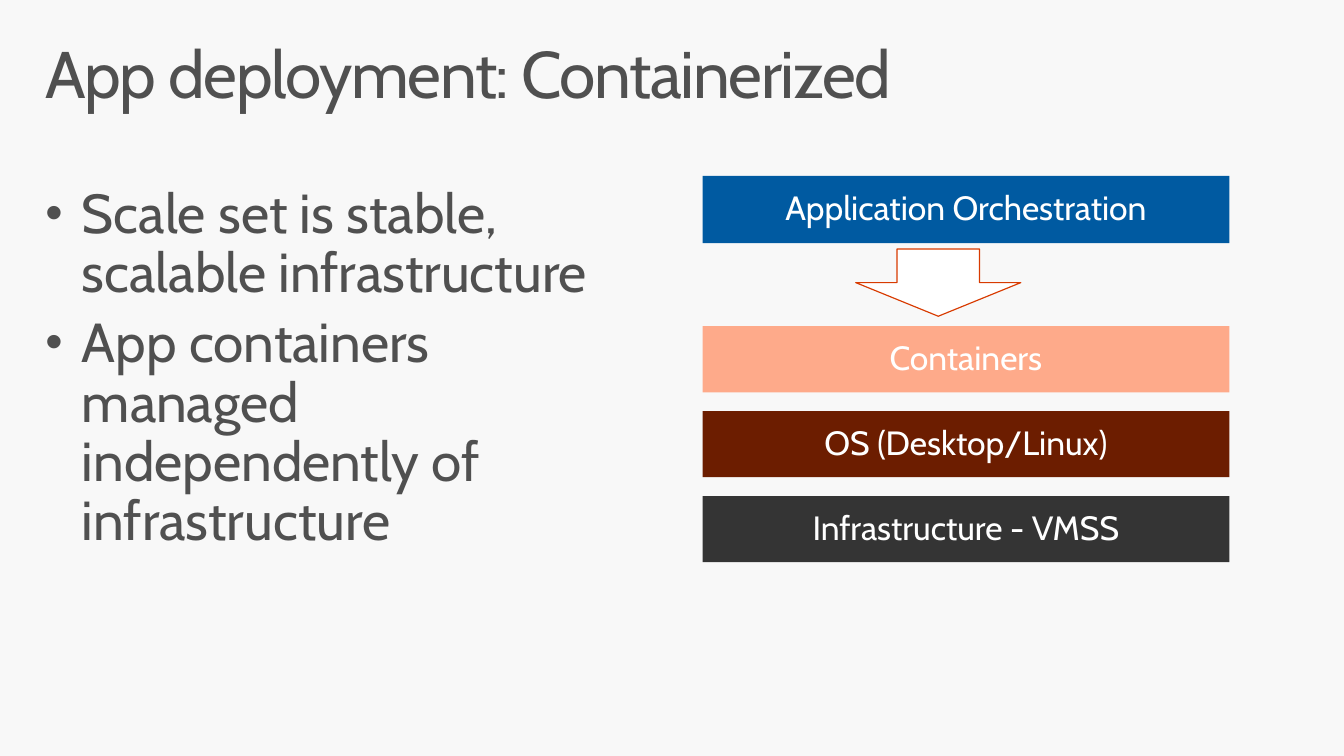
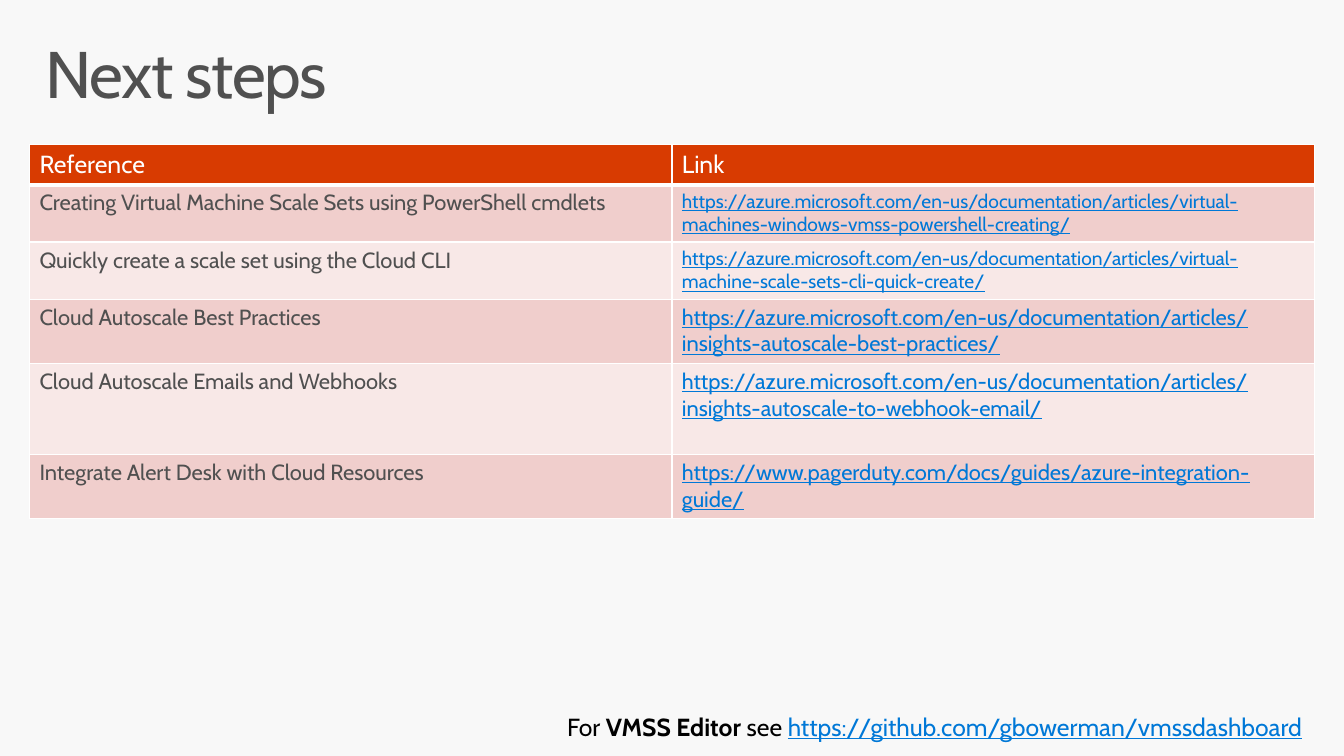
"""Build two slides on container deployment and follow-up references."""
from lxml.etree import SubElement
from pptx import Presentation
from pptx.dml.color import RGBColor
from pptx.enum.shapes import MSO_SHAPE as Shape
from pptx.enum.text import MSO_ANCHOR as Anchor, PP_ALIGN as Align
from pptx.oxml.ns import qn
from pptx.util import Inches, Pt

FONT = "Cabin"
BACKGROUND = RGBColor(0xF8, 0xF8, 0xF8)
GRAY = RGBColor(0x50, 0x50, 0x50)
WHITE = RGBColor(0xFF, 0xFF, 0xFF)
BLACK = RGBColor(0x00, 0x00, 0x00)
LINK = RGBColor(0x00, 0x78, 0xD7)
ORANGE = RGBColor(0xD8, 0x3B, 0x01)
BLUE = RGBColor(0x00, 0x5A, 0xA1)
SALMON = RGBColor(0xFE, 0xAA, 0x8A)
BROWN = RGBColor(0x6C, 0x1D, 0x00)
CHARCOAL = RGBColor(0x34, 0x34, 0x34)
DARK_BAND = RGBColor(0xF0, 0xCE, 0xCC)
LIGHT_BAND = RGBColor(0xF8, 0xE8, 0xE7)

LAYERS = [
    ("Containers", SALMON),
    ("OS (Desktop/Linux)", BROWN),
    ("Infrastructure - VMSS", CHARCOAL),
]
ARTICLES = "https://azure.microsoft.com/en-us/documentation/articles/"
REFERENCES = [
    ("Creating Virtual Machine Scale Sets using PowerShell cmdlets",
     ARTICLES + "virtual-machines-windows-vmss-powershell-creating/", 14, 0.58),
    ("Quickly create a scale set using the Cloud CLI",
     ARTICLES + "virtual-machine-scale-sets-cli-quick-create/", 14, 0.58),
    ("Cloud Autoscale Best Practices",
     ARTICLES + "insights-autoscale-best-practices/", 16, 0.65),
    ("Cloud Autoscale Emails and Webhooks",
     ARTICLES + "insights-autoscale-to-webhook-email/", 16, 0.92),
    ("Integrate Alert Desk with Cloud Resources",
     "https://www.pagerduty.com/docs/guides/azure-integration-guide/", 16, 0.65),
]


class Deck:
    """Hold the shared style and the current slide."""

    def __init__(self):
        self.presentation = Presentation()
        self.presentation.slide_width = Inches(13.6)
        self.presentation.slide_height = Inches(7.65)
        self.slide = None

    def add_slide(self, title):
        """Start a slide with its background and title."""
        self.slide = self.presentation.slides.add_slide(self.presentation.slide_layouts[6])
        fill = self.slide.background.fill
        fill.solid()
        fill.fore_color.rgb = BACKGROUND
        frame = self.text_frame(0.3, 0.32, 13, 1, 0.16, 0.1)
        paragraph = frame.paragraphs[0]
        paragraph.line_spacing = 0.9
        run = self.add_run(paragraph, title, 48, GRAY)
        run.font._element.set("spc", "-100")

    def text_frame(self, left, top, width, height, side=0.1, edge=0.05):
        """Add a wrapping text box and return its frame."""
        box = self.slide.shapes.add_textbox(
            Inches(left), Inches(top), Inches(width), Inches(height))
        frame = box.text_frame
        frame.word_wrap = True
        self.set_margins(frame, side, edge)
        return frame

    def set_margins(self, frame, side, edge):
        """Set the side and the top and bottom margins."""
        frame.margin_left = frame.margin_right = Inches(side)
        frame.margin_top = frame.margin_bottom = Inches(edge)

    def add_run(self, paragraph, text, size, color, bold=False, underline=False):
        """Append a formatted run."""
        run = paragraph.add_run()
        run.text = text
        font = run.font
        font.name = FONT
        font.size = Pt(size)
        font.color.rgb = color
        font.bold = bold
        font.underline = underline
        return run

    def bullets(self, items, left, top, width, height):
        """Add a bulleted list."""
        frame = self.text_frame(left, top, width, height, 0.16, 0.1)
        for index, item in enumerate(items):
            paragraph = frame.add_paragraph() if index else frame.paragraphs[0]
            properties = paragraph._p.get_or_add_pPr()
            properties.set("marL", str(Inches(0.37)))
            properties.set("indent", str(-Inches(0.37)))
            SubElement(properties, qn("a:buSzPct"), val="90000")
            SubElement(properties, qn("a:buFont"), typeface="Arial")
            SubElement(properties, qn("a:buChar"), char="•")
            paragraph.line_spacing = 0.9
            if index:
                paragraph.space_before = Pt(8)
            self.add_run(paragraph, item, 40, GRAY)

    def shape(self, kind, left, top, width, height, fill, line=None):
        """Add a flat preset shape."""
        shape = self.slide.shapes.add_shape(
            kind, Inches(left), Inches(top), Inches(width), Inches(height))
        shape.shadow.inherit = False
        shape.fill.solid()
        shape.fill.fore_color.rgb = fill
        if line is None:
            shape.line.fill.background()
        else:
            shape.line.color.rgb = line
            shape.line.width = Pt(0.85)
        return shape

    def layer(self, text, top, height, fill):
        """Add a labelled bar of the stack."""
        frame = self.shape(Shape.RECTANGLE, 7.11, top, 5.33, height, fill).text_frame
        frame.word_wrap = True
        frame.vertical_anchor = Anchor.MIDDLE
        self.set_margins(frame, 0.2, 0.16)
        paragraph = frame.paragraphs[0]
        paragraph.alignment = Align.CENTER
        paragraph.line_spacing = 0.9
        self.add_run(paragraph, text, 24.5, WHITE)

    def cell(self, cell, text, size, color, fill, underline=False, bottom=1):
        """Fill a table cell and rule its borders in white."""
        self.add_run(cell.text_frame.paragraphs[0], text, size, color, underline=underline)
        properties = cell._tc.get_or_add_tcPr()
        for side, points in (("L", 1), ("R", 1), ("T", 1), ("B", bottom)):
            line = SubElement(properties, qn("a:ln" + side), w=str(Pt(points)))
            solid = SubElement(line, qn("a:solidFill"))
            SubElement(solid, qn("a:srgbClr"), val=str(WHITE))
        cell.fill.solid()
        cell.fill.fore_color.rgb = fill

    def reference_table(self, references, left, top, width):
        """Add the table of references and links."""
        heights = [0.41] + [height for *_, height in references]
        table = self.slide.shapes.add_table(
            len(heights), 2, Inches(left), Inches(top),
            Inches(width), Inches(sum(heights))).table
        for column in table.columns:
            column.width = Inches(width / 2)
        for row, height in zip(table.rows, heights):
            row.height = Inches(height)
        for index, heading in enumerate(("Reference", "Link")):
            self.cell(table.cell(0, index), heading, 18, WHITE, ORANGE, bottom=3)
        for index, (name, link, size, _) in enumerate(references, 1):
            band = DARK_BAND if index % 2 else LIGHT_BAND
            self.cell(table.cell(index, 0), name, 16, GRAY, band)
            self.cell(table.cell(index, 1), link, size, LINK, band, underline=True)


def main():
    """Build and save both slides."""
    deck = Deck()
    deck.add_slide("App deployment: Containerized")
    deck.bullets(["Scale set is stable, scalable infrastructure",
                  "App containers managed independently of infrastructure"],
                 0.3, 1.78, 5.94, 4.72)
    deck.layer("Application Orchestration", 1.78, 0.68, BLUE)
    deck.shape(Shape.DOWN_ARROW, 8.66, 2.52, 1.67, 0.68, WHITE, ORANGE)
    for index, (text, fill) in enumerate(LAYERS):
        deck.layer(text, 3.3 + index * 0.86, 0.67, fill)

    deck.add_slide("Next steps")
    deck.reference_table(REFERENCES, 0.3, 1.46, 13)
    paragraph = deck.text_frame(5.64, 7.15, 7.9, 0.41).paragraphs[0]
    deck.add_run(paragraph, "For ", 18, BLACK)
    deck.add_run(paragraph, "VMSS Editor ", 18, BLACK, bold=True)
    deck.add_run(paragraph, "see ", 18, BLACK)
    deck.add_run(paragraph, "https://github.com/gbowerman/vmssdashboard", 18, LINK,
                 underline=True)
    deck.presentation.save("out.pptx")


if __name__ == "__main__":
    main()
